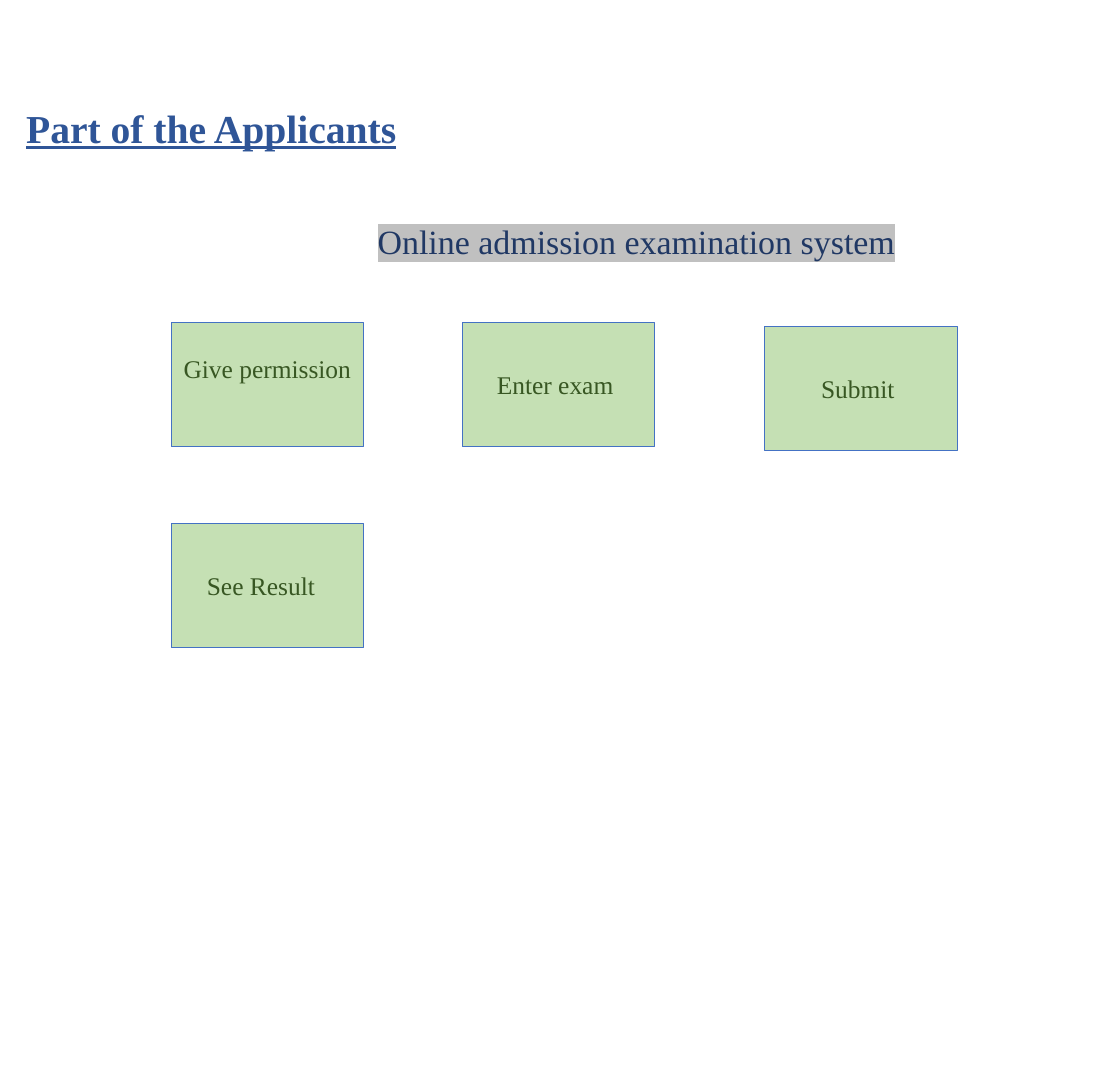
"""Build the slide listing the applicants' steps in an online admission exam."""
import lxml.etree
import pptx
import pptx.dml.color
import pptx.enum.shapes
import pptx.enum.text
import pptx.oxml.ns
import pptx.util

Cm, Pt = pptx.util.Cm, pptx.util.Pt
RGBColor = pptx.dml.color.RGBColor
PP_ALIGN = pptx.enum.text.PP_ALIGN
MSO_ANCHOR = pptx.enum.text.MSO_ANCHOR
qn = pptx.oxml.ns.qn

BLUE = RGBColor(0x2F, 0x55, 0x97)
NAVY = RGBColor(0x20, 0x38, 0x64)
SILVER = RGBColor(0xC0, 0xC0, 0xC0)
PALE_GREEN = RGBColor(0xC5, 0xE0, 0xB4)
DARK_GREEN = RGBColor(0x38, 0x57, 0x23)
OUTLINE = RGBColor(0x44, 0x72, 0xC4)

HEADINGS = [
    ("Part of the Applicants", (-2.77, 2.46, 16.08, 3.0), PP_ALIGN.CENTER, BLUE,
     {"size": Pt(28), "bold": True, "underline": True}, None),
    ("Online admission examination system", (9.17, 5.38, 14.78, 1.27), PP_ALIGN.LEFT, NAVY,
     {"size": Pt(24)}, SILVER),
]
STEP_SIZE = (4.8, 3.1)
STEPS = [
    ("Give permission", (4.27, 8.05), {"margin_bottom": Cm(0.93)}),
    ("Enter exam", (11.53, 8.05), {"margin_right": Cm(0.41)}),
    ("Submit", (19.08, 8.15), {"margin_right": Cm(0.41)}),
    ("See Result", (4.27, 13.06), {"margin_right": Cm(0.57)}),
]


def write(sp, text, align, color, font, frame):
    tf = sp.text_frame
    for name, value in {"word_wrap": True, **frame}.items():
        setattr(tf, name, value)
    p = tf.paragraphs[0]
    p.alignment = align
    r = p.add_run()
    r.text = text
    for name, value in {"name": "Times New Roman", **font}.items():
        setattr(r.font, name, value)
    r.font.color.rgb = color
    return r


def highlight(r, color):
    mark = lxml.etree.Element(qn("a:highlight"))
    lxml.etree.SubElement(mark, qn("a:srgbClr"), val=str(color))
    r.font._element.find(qn("a:solidFill")).addnext(mark)


def main():
    prs = pptx.Presentation()
    prs.slide_width, prs.slide_height = Cm(27.94), Cm(26.67)
    s = prs.slides.add_slide(prs.slide_layouts[6])

    for text, box, align, color, font, marker in HEADINGS:
        sp = s.shapes.add_textbox(*map(Cm, box))
        r = write(sp, text, align, color, font, {})
        if marker is not None:
            highlight(r, marker)

    for text, corner, margins in STEPS:
        sp = s.shapes.add_shape(pptx.enum.shapes.MSO_SHAPE.RECTANGLE,
                                *map(Cm, corner + STEP_SIZE))
        sp.shadow.inherit = False
        sp.fill.solid()
        sp.fill.fore_color.rgb = PALE_GREEN
        sp.line.color.rgb = OUTLINE
        sp.line.width = Pt(0.5)
        write(sp, text, PP_ALIGN.CENTER, DARK_GREEN, {"size": Pt(18)},
              {"vertical_anchor": MSO_ANCHOR.MIDDLE, **margins})

    prs.save("out.pptx")


if __name__ == "__main__":
    main()
